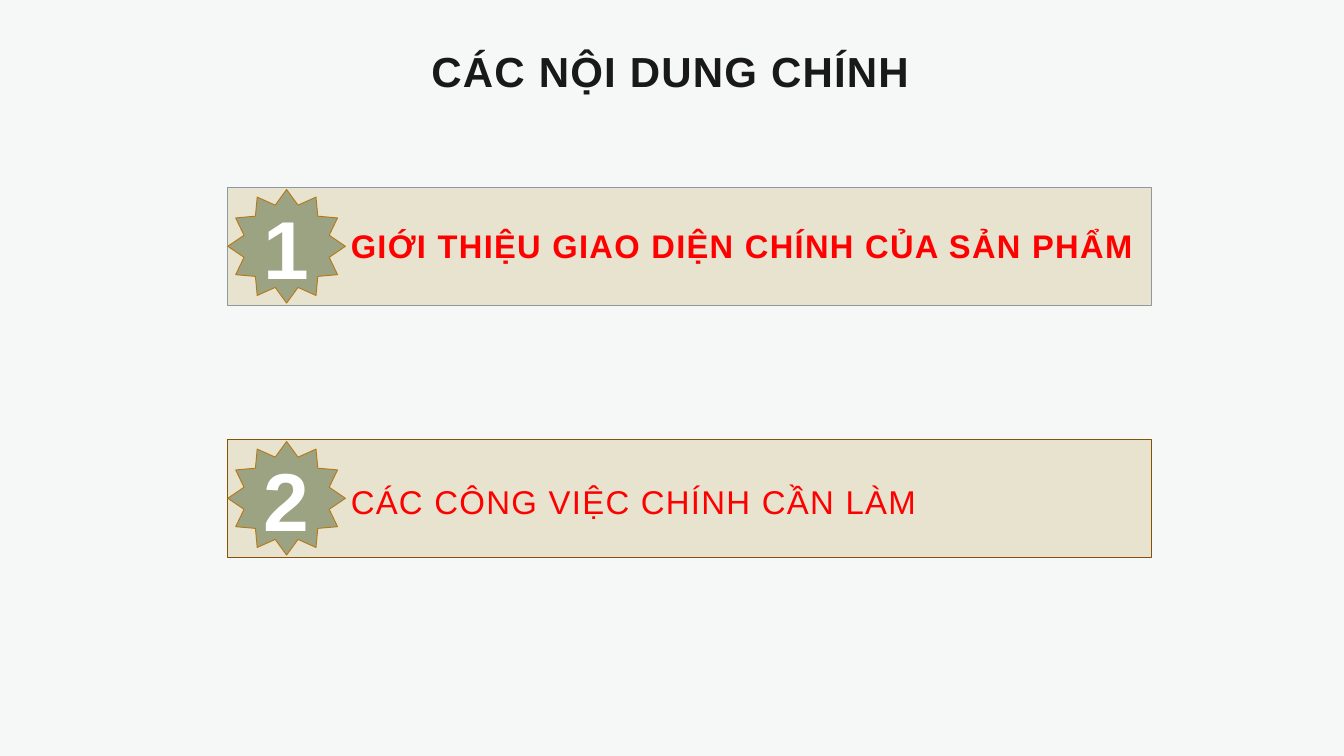
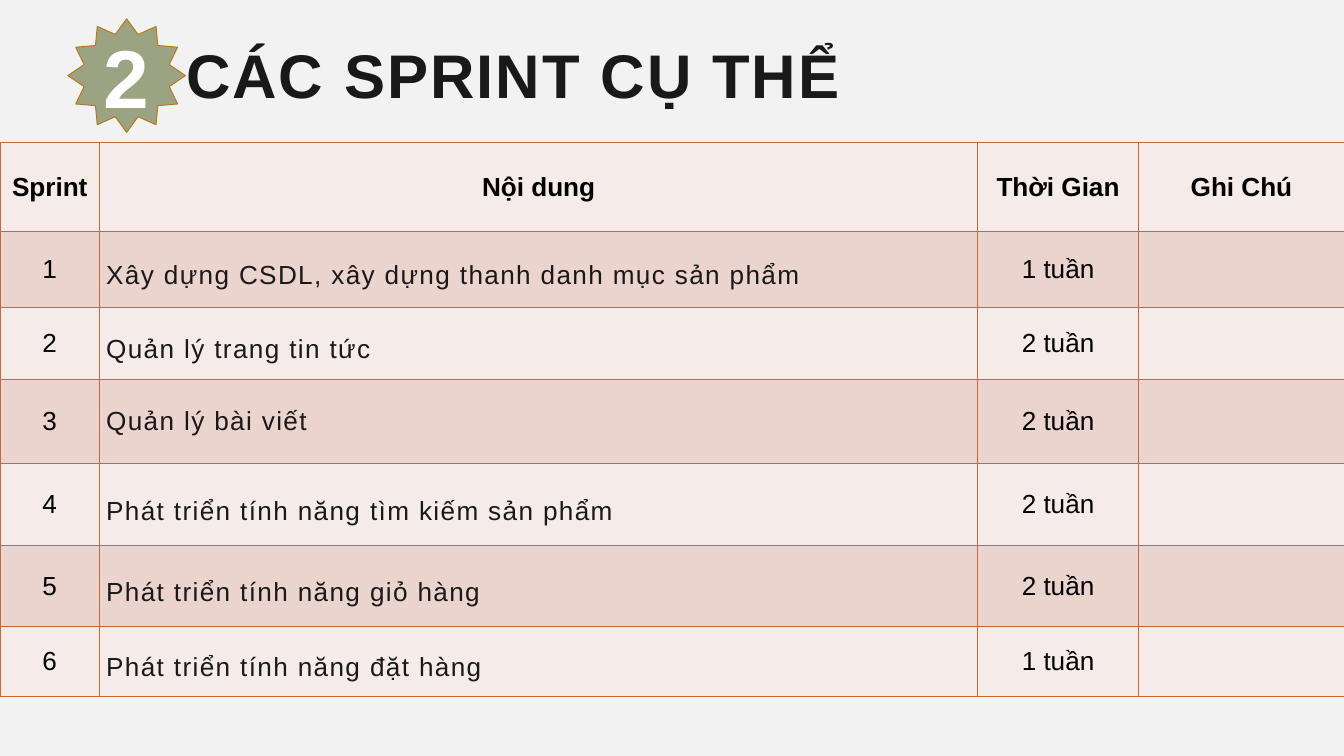
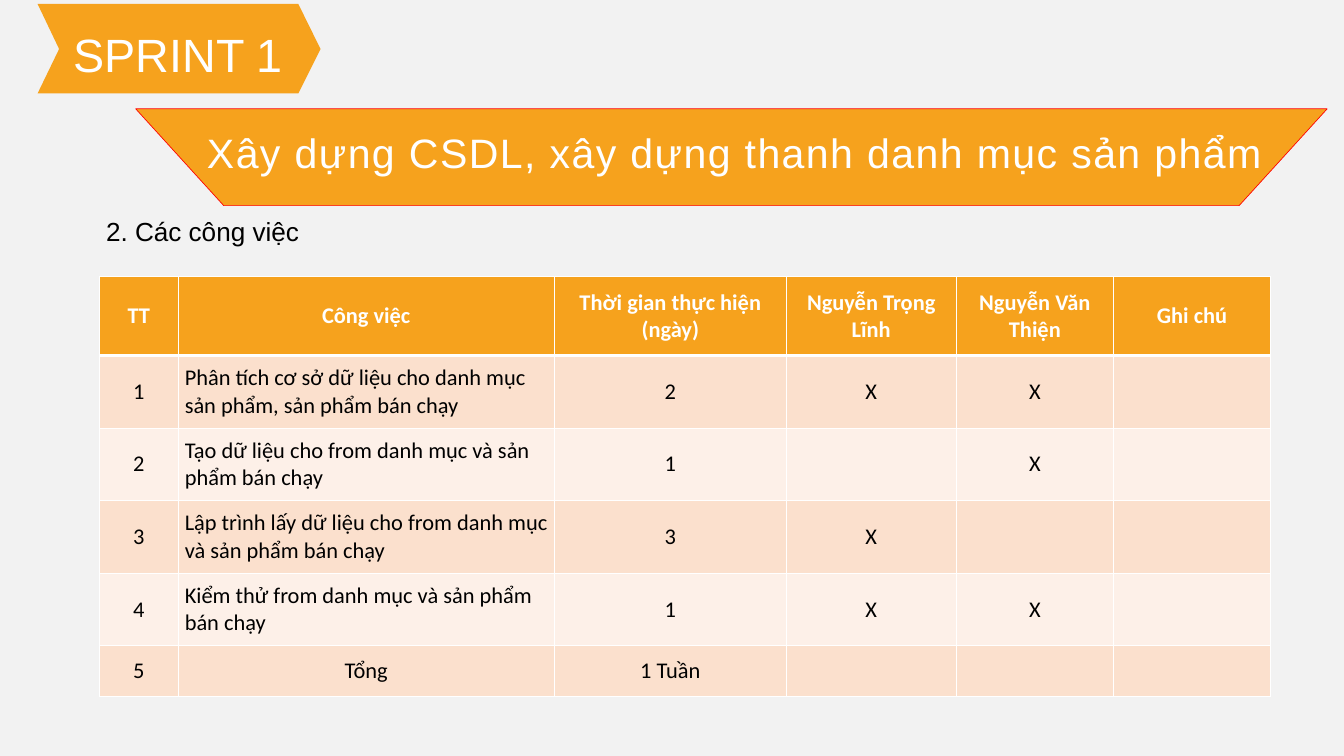
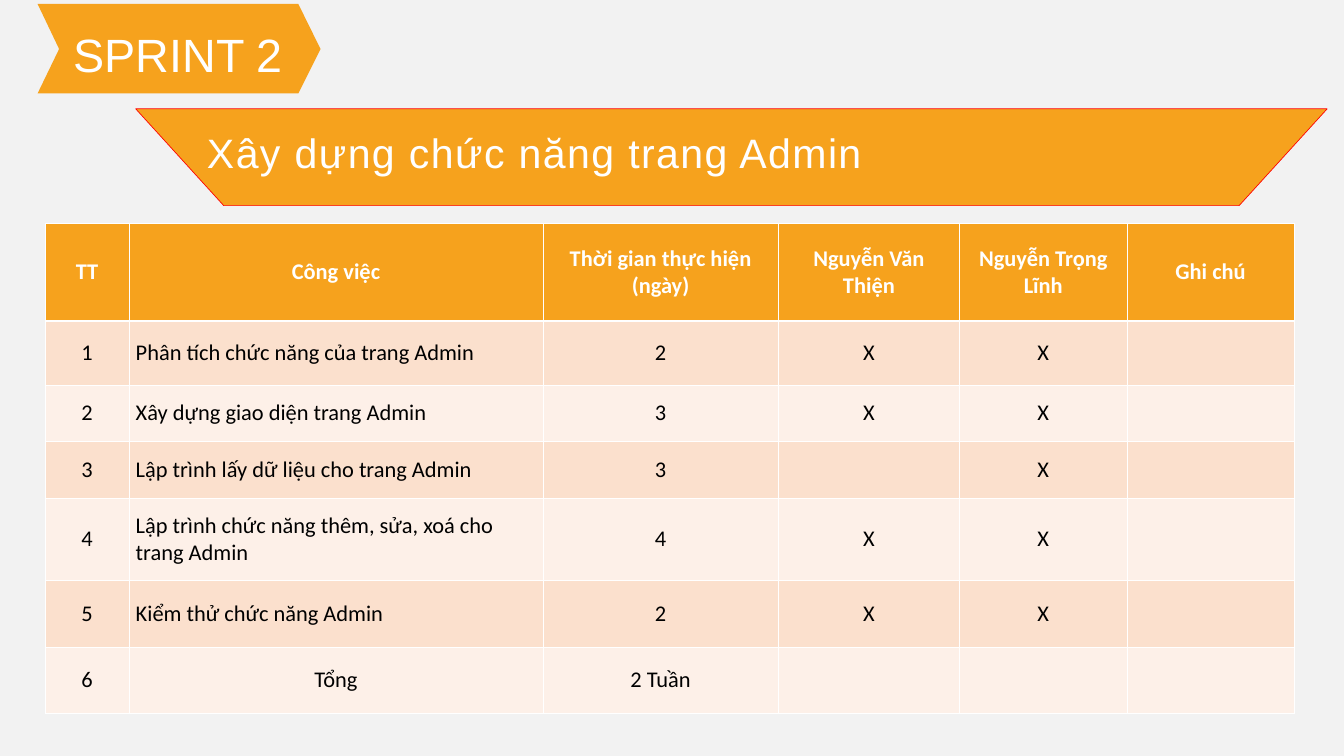
from dataclasses import dataclass

from lxml import etree
from pptx import Presentation
from pptx.dml.color import RGBColor
from pptx.enum import shapes, text
from pptx.oxml import ns
from pptx.util import Inches, Pt

COLORS = {
    "ink": "191919", "black": "000000", "white": "FFFFFF", "red": "FF0000",
    "mist": "F6F8F7", "grey": "F2F2F2",
    "sand": "E8E3CE", "slate": "8E9A9E", "brown": "845305",
    "sage": "9CA383", "ochre": "B67815", "orange": "F6A21D",
    "rust": "C96731", "rose": "EBD3CE", "blush": "F5EBE8",
    "peach": "FBE0CD", "cream": "FDF0E8",
}

CHEVRON = [(4.44, 1.39), (0.56, 1.39), (0.88, 0.73), (0.56, 0.06), (4.44, 0.06), (4.77, 0.73)]
BANNER = [(18.44, 3.06), (19.75, 1.62), (2.02, 1.62), (3.33, 3.06)]

SPRINTS = [
    ["Sprint", "Nội dung", "Thời Gian", "Ghi Chú"],
    ["1", "Xây dựng CSDL, xây dựng thanh danh mục sản phẩm", "1 tuần", ""],
    ["2", "Quản lý trang tin tức", "2 tuần", ""],
    ["3", "Quản lý bài viết", "2 tuần", ""],
    ["4", "Phát triển tính năng tìm kiếm sản phẩm", "2 tuần", ""],
    ["5", "Phát triển tính năng giỏ hàng", "2 tuần", ""],
    ["6", "Phát triển tính năng đặt hàng", "1 tuần", ""],
]
LINH, THIEN = "Nguyễn Trọng Lĩnh", "Nguyễn Văn Thiện"
CATALOGUE_TASKS = [
    ["1", "Phân tích cơ sở dữ liệu cho danh mục sản phẩm, sản phẩm bán chạy", "2", "X", "X", ""],
    ["2", "Tạo dữ liệu cho from danh mục và sản phẩm bán chạy", "1", "", "X", ""],
    ["3", "Lập trình lấy dữ liệu cho from danh mục và sản phẩm bán chạy", "3", "X", "", ""],
    ["4", "Kiểm thử from danh mục và sản phẩm bán chạy", "1", "X", "X", ""],
    ["5", "Tổng", "1 Tuần", "", "", ""],
]
ADMIN_TASKS = [
    ["1", "Phân tích chức năng của trang Admin", "2", "X", "X", ""],
    ["2", "Xây dựng giao diện trang Admin", "3", "X", "X", ""],
    ["3", "Lập trình lấy dữ liệu cho trang Admin", "3", "", "X", ""],
    ["4", "Lập trình chức năng thêm, sửa, xoá cho trang Admin", "4", "X", "X", ""],
    ["5", "Kiểm thử chức năng Admin", "2", "X", "X", ""],
    ["6", "Tổng", "2 Tuần", "", "", ""],
]


@dataclass(frozen=True)
class Style:
    """Look of a paragraph: size, colour, weight, tracking, leading and alignment."""
    size: float
    color: str = "black"
    bold: bool = False
    tracking: float = 0
    leading: float = 0
    centered: bool = False
    font: str = "Arial"


@dataclass(frozen=True)
class TableLook:
    """Look of a table: text styles, header fill, band fills and borders."""
    header: Style
    body: Style
    description: Style
    header_fill: str
    bands: tuple
    border: str
    header_rule: float


BADGE = Style(88, "white", bold=True, centered=True)
SPRINT_TAG = Style(50, "white", leading=70, centered=True)
SPRINT_TITLE = Style(44, "white", tracking=1.5, leading=45)
SPRINT_LOOK = TableLook(
    Style(28, bold=True, centered=True), Style(28, centered=True),
    Style(28, "ink", tracking=1.5, leading=45),
    "blush", ("rose", "blush"), "rust", 1)
TASK_LOOK = TableLook(
    Style(24, "white", bold=True, centered=True, font="Calibri"),
    Style(24, centered=True, font="Calibri"), Style(24, font="Calibri"),
    "orange", ("peach", "cream"), "white", 3)


def rgb(name):
    """Return the named colour."""
    return RGBColor.from_string(COLORS[name])


def add_page(deck, background):
    """Add a blank slide with a plain background."""
    page = deck.slides.add_slide(deck.slide_layouts[6])
    page.background.fill.solid()
    page.background.fill.fore_color.rgb = rgb(background)
    return page


def write(frame, words, style):
    """Write one styled paragraph for each line of words."""
    for index, line in enumerate(words.split("\n")):
        para = frame.add_paragraph() if index else frame.paragraphs[0]
        para.alignment = text.PP_ALIGN.CENTER if style.centered else text.PP_ALIGN.LEFT
        if style.leading:
            para.line_spacing = Pt(style.leading)
        span = para.add_run()
        span.text = line
        span.font.name = style.font
        span.font.size = Pt(style.size)
        span.font.bold = style.bold
        span.font.color.rgb = rgb(style.color)
        if style.tracking:
            span.font._element.set("spc", str(round(style.tracking * 100)))


def add_text(page, area, words, style, padded=False):
    """Add a wrapping text box that grows with its text."""
    box = page.shapes.add_textbox(*map(Inches, area))
    frame = box.text_frame
    frame.word_wrap = True
    frame.auto_size = text.MSO_AUTO_SIZE.SHAPE_TO_FIT_TEXT
    if not padded:
        frame.margin_left = frame.margin_right = frame.margin_top = frame.margin_bottom = 0
    write(frame, words, style)


def paint(shape, fill, line=None, width=0.75):
    """Give a shape a plain fill and an optional outline."""
    shape.shadow.inherit = False
    shape.fill.solid()
    shape.fill.fore_color.rgb = rgb(fill)
    if line:
        shape.line.color.rgb = rgb(line)
        shape.line.width = Pt(width)
    else:
        shape.line.fill.background()


def add_badge(page, left, top, number):
    """Add a numbered star."""
    star = page.shapes.add_shape(
        shapes.MSO_SHAPE.STAR_12_POINT, *map(Inches, (left, top, 1.75, 1.69)))
    paint(star, "sage", "ochre", 1)
    star.text_frame.vertical_anchor = text.MSO_ANCHOR.MIDDLE
    write(star.text_frame, number, BADGE)


def add_topic(page, top, number, words, style, line, text_offset):
    """Add an agenda bar with its star and heading."""
    bar = page.shapes.add_shape(
        shapes.MSO_SHAPE.RECTANGLE, *map(Inches, (3.38, top, 13.75, 1.75)))
    paint(bar, "sand", line)
    add_text(page, (5.22, top + text_offset, 11.9, 0.6), words, style)
    add_badge(page, 3.39, top + 0.03, number)


def add_outline(page, points, fill, line=None):
    """Add a closed polygon through points in inches."""
    start, *others = [(Inches(x), Inches(y)) for x, y in points]
    builder = page.shapes.build_freeform(*start)
    builder.add_line_segments(others, close=True)
    paint(builder.convert_to_shape(), fill, line)


def set_borders(cell, color, widths):
    """Draw the left, right, top and bottom borders of a cell."""
    properties = cell._tc.get_or_add_tcPr()
    for side, width in zip("LRTB", widths):
        line = etree.SubElement(properties, ns.qn(f"a:ln{side}"), w=str(Pt(width)))
        fill = etree.SubElement(line, ns.qn("a:solidFill"))
        etree.SubElement(fill, ns.qn("a:srgbClr"), val=COLORS[color])


def add_table(page, left, top, columns, heights, rows, look):
    """Add a banded table whose second column holds descriptions."""
    table = page.shapes.add_table(
        len(rows), len(columns), Inches(left), Inches(top),
        Inches(sum(columns)), Inches(sum(heights))).table
    table.first_row = table.horz_banding = False
    for column, width in zip(table.columns, columns):
        column.width = Inches(width)
    for r, (values, height) in enumerate(zip(rows, heights)):
        table.rows[r].height = Inches(height)
        above = look.header_rule if r == 1 else 1
        below = look.header_rule if r == 0 else 1
        for c, words in enumerate(values):
            cell = table.cell(r, c)
            set_borders(cell, look.border, (1, 1, above, below))
            cell.fill.solid()
            cell.fill.fore_color.rgb = rgb(look.bands[(r - 1) % 2] if r else look.header_fill)
            cell.vertical_anchor = text.MSO_ANCHOR.MIDDLE
            described = c == 1 and words != "Tổng"
            style = look.header if r == 0 else look.description if described else look.body
            if words:
                write(cell.text_frame, words, style)
    return table


def add_sprint_heading(page, tag, title):
    """Add the chevron tag and the banner of a sprint slide."""
    add_outline(page, CHEVRON, "orange")
    add_outline(page, BANNER, "orange", "red")
    add_text(page, (-0.37, 0.25, 6.05, 0.9), tag, SPRINT_TAG)
    add_text(page, (3.08, 2.01, 15.82, 0.63), title, SPRINT_TITLE)


def task_rows(people, tasks):
    """Put the task header above the tasks."""
    return [["TT", "Công việc", "Thời gian thực hiện\n(ngày)", *people, "Ghi chú"], *tasks]


def build_agenda(deck):
    """Build the agenda slide."""
    page = add_page(deck, "mist")
    add_text(page, (6.42, 0.61, 7.17, 0.76), "CÁC NỘI DUNG CHÍNH",
             Style(45, "ink", bold=True, tracking=1.3, leading=58.9))
    add_topic(page, 6.54, "2", "CÁC CÔNG VIỆC CHÍNH CẦN LÀM",
              Style(35.3, "red", tracking=1.4, leading=45.5), "brown", 0.58)
    add_topic(page, 2.79, "1", "GIỚI THIỆU GIAO DIỆN CHÍNH CỦA SẢN PHẨM",
              Style(35, "red", bold=True, tracking=1.4, leading=45.1), "slate", 0.53)


def build_sprint_list(deck):
    """Build the overview of all sprints."""
    page = add_page(deck, "grey")
    table = add_table(page, 0, 2.12, [1.48, 13.07, 2.39, 3.07],
                      [1.33, 1.12, 1.08, 1.25, 1.22, 1.2, 1.04], SPRINTS, SPRINT_LOOK)
    table.cell(3, 1).text_frame.paragraphs[0].line_spacing = None
    add_text(page, (2.77, 1.03, 13.72, 0.67), "CÁC SPRINT CỤ THỂ",
             Style(66, "ink", bold=True, tracking=2.1, leading=44.3))
    add_badge(page, 1.01, 0.28, "2")


def build_catalogue_sprint(deck):
    """Build the slide of the first sprint."""
    page = add_page(deck, "grey")
    add_sprint_heading(page, "SPRINT 1", SPRINTS[1][1])
    add_text(page, (1.48, 3.16, 9.33, 0.57), "2. Các công việc", Style(28), padded=True)
    add_table(page, 1.48, 4.12, [1.17, 5.6, 3.45, 2.53, 2.34, 2.34],
              [1.17, *[1.08] * 4, 0.75], task_rows((LINH, THIEN), CATALOGUE_TASKS), TASK_LOOK)


def build_admin_sprint(deck):
    """Build the slide of the second sprint."""
    page = add_page(deck, "grey")
    add_table(page, 0.67, 3.32, [1.25, 6.16, 3.5, 2.7, 2.49, 2.49],
              [1.46, 0.95, 0.84, 0.84, 1.23, 0.99, 0.99],
              task_rows((THIEN, LINH), ADMIN_TASKS), TASK_LOOK)
    add_sprint_heading(page, "SPRINT 2", "Xây dựng chức năng trang Admin")


def main():
    """Build and save the deck."""
    deck = Presentation()
    deck.slide_width, deck.slide_height = Inches(20), Inches(11.25)
    build_agenda(deck)
    build_sprint_list(deck)
    build_catalogue_sprint(deck)
    build_admin_sprint(deck)
    deck.save("out.pptx")


if __name__ == "__main__":
    main()
